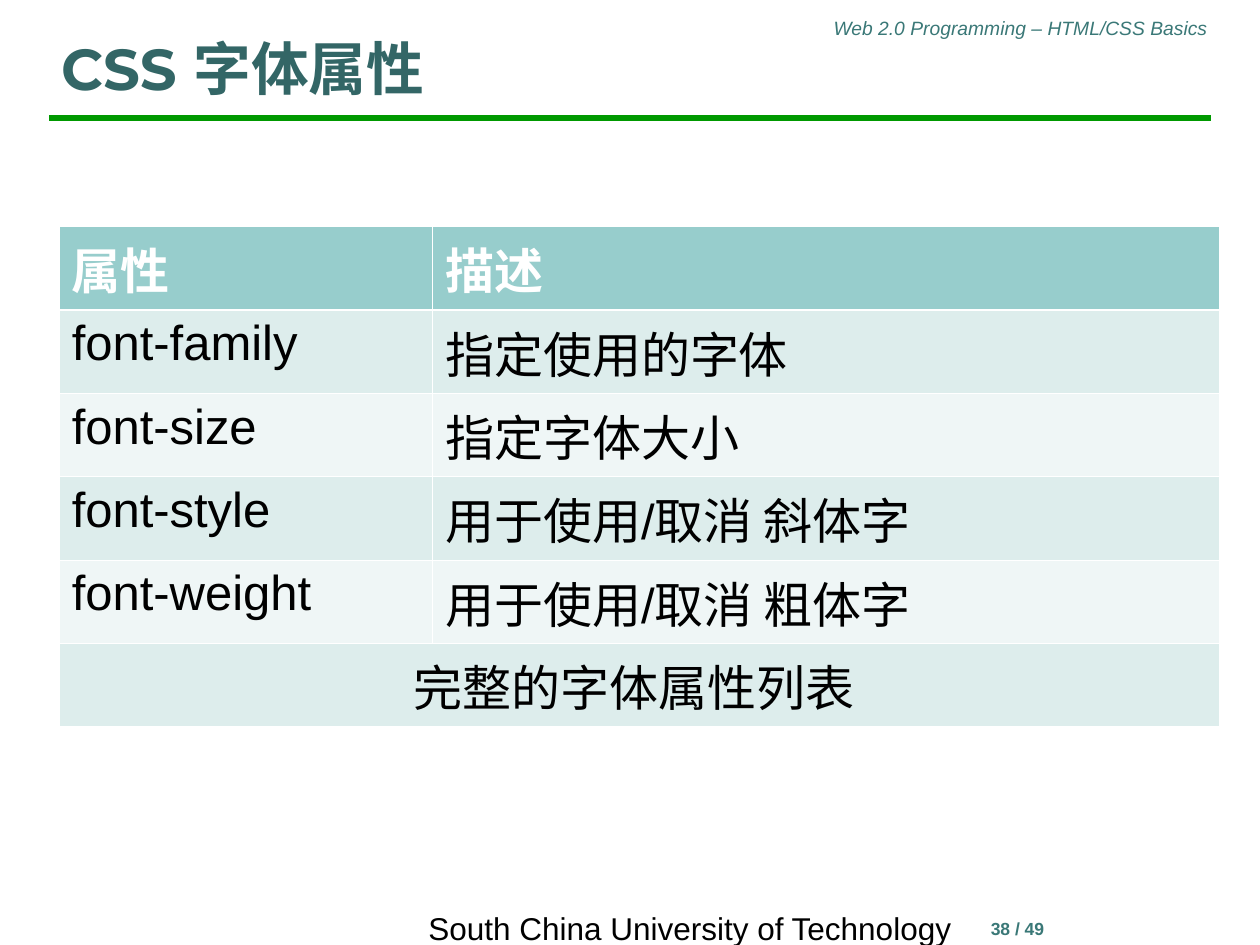
from dataclasses import dataclass

from pptx import Presentation
from pptx import util as u
from pptx.dml.color import RGBColor
from pptx.enum import shapes, text
from pptx.oxml import parse_xml
from pptx.oxml.ns import nsdecls

SLIDE_WIDTH, SLIDE_HEIGHT = u.Inches(10), u.Inches(7.5)


@dataclass(frozen=True)
class Theme:
    body_font: str = "Arial"
    title_font: str = "Montserrat"
    title: str = "336666"
    accent: str = "3A7877"
    rule: str = "009900"
    ink: str = "000000"
    white: str = "FFFFFF"
    header_fill: str = "97CDCC"
    bands: tuple = ("DDEDEC", "EFF6F6")
    title_size: float = 33
    table_size: float = 28
    footer_size: float = 18
    header_size: float = 11
    number_size: float = 10
    rule_width: float = 3
    border: float = 0.45
    header_border: float = 1.47


THEME = Theme()
ROWS = [
    ("属性", "描述"),
    ("font-family", "指定使用的字体"),
    ("font-size", "指定字体大小"),
    ("font-style", "用于使用/取消 斜体字"),
    ("font-weight", "用于使用/取消 粗体字"),
    ("完整的字体属性列表 ", ""),
]


def across(percent):
    return round(SLIDE_WIDTH * percent / 100)


def down(percent):
    return round(SLIDE_HEIGHT * percent / 100)


def area(left, top, width, height):
    return across(left), down(top), across(width), down(height)


def write(frame, words, size, color, align=text.PP_ALIGN.LEFT,
          name=THEME.body_font, bold=False, italic=False):
    para = frame.paragraphs[0]
    para.add_run().text = words
    para.alignment = align
    font = para.font
    font.name, font.size = name, u.Pt(size)
    font.bold, font.italic = bold, italic
    font.color.rgb = RGBColor.from_string(color)


def add_title(page, words):
    title = page.shapes.title
    title.left, title.top, title.width, title.height = area(3.85, 2.1, 92.2, 9.33)
    frame = title.text_frame
    frame.auto_size = text.MSO_AUTO_SIZE.NONE
    frame.vertical_anchor = text.MSO_ANCHOR.BOTTOM
    write(frame, words, THEME.title_size, THEME.title,
          name=THEME.title_font, bold=True)


def add_label(page, place, words, size, color, align,
              anchor=text.MSO_ANCHOR.TOP, **style):
    frame = page.shapes.add_textbox(*area(*place)).text_frame
    frame.word_wrap = True
    frame.vertical_anchor = anchor
    write(frame, words, size, color, align, **style)


def add_rule(page):
    line = page.shapes.add_connector(
        shapes.MSO_CONNECTOR.STRAIGHT,
        across(3.9), down(12.5), across(96.1), down(12.5))
    line.line.color.rgb = RGBColor.from_string(THEME.rule)
    line.line.width = u.Pt(THEME.rule_width)
    line._element.spPr.append(parse_xml(f"<a:effectLst {nsdecls('a')}/>"))


def add_borders(cell, row):
    widths = {
        "L": THEME.border,
        "R": THEME.border,
        "T": THEME.header_border if row == 1 else THEME.border,
        "B": THEME.header_border if row == 0 else THEME.border,
    }
    properties = cell._tc.get_or_add_tcPr()
    for side, width in widths.items():
        properties.append(parse_xml(
            f'<a:ln{side} {nsdecls("a")} w="{u.Pt(width)}"><a:solidFill>'
            f'<a:srgbClr val="{THEME.white}"/></a:solidFill></a:ln{side}>'))


def format_cell(cell, row, words, align):
    header = row == 0
    add_borders(cell, row)
    cell.fill.solid()
    fill = THEME.header_fill if header else THEME.bands[(row - 1) % 2]
    cell.fill.fore_color.rgb = RGBColor.from_string(fill)
    if words:
        color = THEME.white if header else THEME.ink
        write(cell.text_frame, words, THEME.table_size, color, align, bold=header)


def add_property_table(page):
    table = page.shapes.add_table(len(ROWS), 2, *area(4.7, 24, 92.1, 52.94)).table
    for column, share in zip(table.columns, (29.65, 62.45)):
        column.width = across(share)
    last = len(ROWS) - 1
    table.cell(last, 0).merge(table.cell(last, 1))
    for row, entries in enumerate(ROWS):
        align = text.PP_ALIGN.CENTER if row == last else text.PP_ALIGN.LEFT
        for column, words in enumerate(entries):
            format_cell(table.cell(row, column), row, words, align)


def main():
    deck = Presentation()
    deck.slide_width, deck.slide_height = SLIDE_WIDTH, SLIDE_HEIGHT
    page = deck.slides.add_slide(deck.slide_layouts.get_by_name("Title Only"))
    add_rule(page)
    add_label(page, (53.15, 1.07, 43.7, 3.87),
              "Web 2.0 Programming – HTML/CSS Basics",
              THEME.header_size, THEME.accent, text.PP_ALIGN.RIGHT, italic=True)
    add_label(page, (69.5, 96.45, 22.5, 6.67), "38 / 49",
              THEME.number_size, THEME.accent, text.PP_ALIGN.CENTER, bold=True)
    add_label(page, (31.9, 96.4, 45.7, 3.6),
              "South China University of Technology",
              THEME.footer_size, THEME.ink, text.PP_ALIGN.CENTER,
              text.MSO_ANCHOR.MIDDLE)
    add_title(page, "CSS 字体属性")
    add_property_table(page)
    deck.save("out.pptx")


if __name__ == "__main__":
    main()
